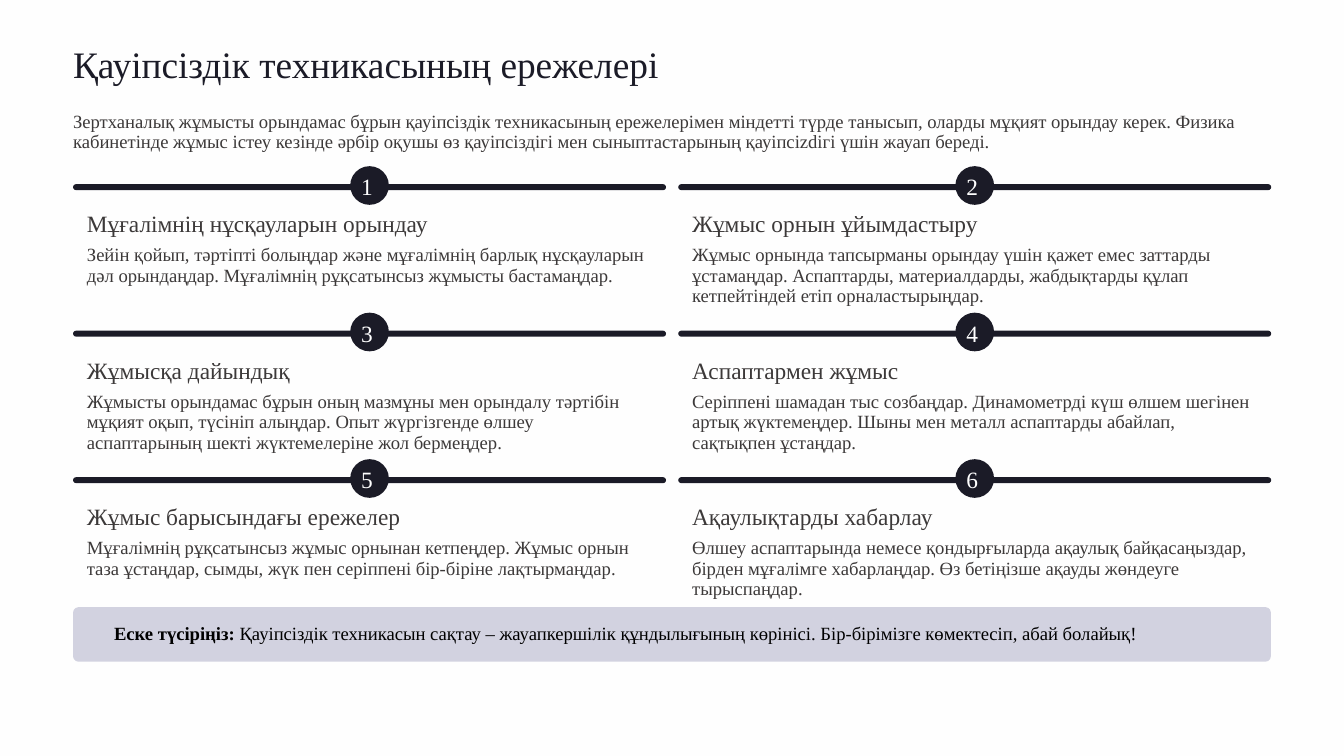
from dataclasses import dataclass

import pptx
import pptx.dml.color
import pptx.enum.shapes
import pptx.enum.text
import pptx.oxml.ns
import pptx.util
from lxml import etree

Cm, Pt = pptx.util.Cm, pptx.util.Pt
FONT = "Times New Roman"
DARK, GREY, WHITE = "1B1B27", "3C3939", "FFFFFF"
LEFT, WIDTH = 2.21, 36.22
COL_STEP, ROW_STEP, CARDS_TOP = 18.3, 4.43, 5.61
CARD_W, CARD_H, BADGE = 17.93, 3.45, 1.17


@dataclass
class Box:
    x: float
    y: float
    w: float
    h: float


@dataclass
class Run:
    text: str
    size: float = 16
    color: str = GREY
    bold: bool = False


@dataclass
class Rule:
    heading: str
    body: str


RULES = [
    Rule("Мұғалімнің нұсқауларын орындау",
         "Зейін қойып, тәртіпті болыңдар және мұғалімнің барлық нұсқауларын дәл "
         "орындаңдар. Мұғалімнің рұқсатынсыз жұмысты бастамаңдар."),
    Rule("Жұмыс орнын ұйымдастыру",
         "Жұмыс орнында тапсырманы орындау үшін қажет емес заттарды ұстамаңдар. "
         "Аспаптарды, материалдарды, жабдықтарды құлап кетпейтіндей етіп орналастырыңдар."),
    Rule("Жұмысқа дайындық",
         "Жұмысты орындамас бұрын оның мазмұны мен орындалу тәртібін мұқият оқып, түсініп "
         "алыңдар. Опыт жүргізгенде өлшеу аспаптарының шекті жүктемелеріне жол бермеңдер."),
    Rule("Аспаптармен жұмыс",
         "Серіппені шамадан тыс созбаңдар. Динамометрді күш өлшем шегінен артық жүктемеңдер. "
         "Шыны мен металл аспаптарды абайлап, сақтықпен ұстаңдар."),
    Rule("Жұмыс барысындағы ережелер",
         "Мұғалімнің рұқсатынсыз жұмыс орнынан кетпеңдер. Жұмыс орнын таза ұстаңдар, "
         "сымды, жүк пен серіппені бір-біріне лақтырмаңдар."),
    Rule("Ақаулықтарды хабарлау",
         "Өлшеу аспаптарында немесе қондырғыларда ақаулық байқасаңыздар, бірден мұғалімге "
         "хабарлаңдар. Өз бетіңізше ақауды жөндеуге тырыспаңдар."),
]


def rgb(color: str) -> pptx.dml.color.RGBColor:
    return pptx.dml.color.RGBColor.from_string(color)


def add_round(slide, box: Box, color: str, adj: float, alpha: int = 100) -> None:
    sp = slide.shapes.add_shape(pptx.enum.shapes.MSO_SHAPE.ROUNDED_RECTANGLE,
                                Cm(box.x), Cm(box.y), Cm(box.w), Cm(box.h))
    sp.adjustments[0] = adj
    sp.shadow.inherit = False
    sp.fill.solid()
    sp.fill.fore_color.rgb = rgb(color)
    sp.line.fill.background()
    if alpha < 100:
        qn = pptx.oxml.ns.qn
        clr = sp.fill._xPr.find(qn("a:solidFill")).find(qn("a:srgbClr"))
        etree.SubElement(clr, qn("a:alpha"), val=str(alpha * 1000))


def add_text(slide, box: Box, spacing: float, runs: list[Run], wrap: bool = True) -> None:
    tf = slide.shapes.add_textbox(Cm(box.x), Cm(box.y), Cm(box.w), Cm(box.h)).text_frame
    tf.word_wrap = wrap
    tf.auto_size = pptx.enum.text.MSO_AUTO_SIZE.NONE
    tf.margin_left = tf.margin_right = tf.margin_top = tf.margin_bottom = 0
    p = tf.paragraphs[0]
    p.line_spacing = Pt(spacing)
    for run in runs:
        r = p.add_run()
        r.text = run.text
        r.font.name = FONT
        r.font.size = Pt(run.size)
        r.font.bold = run.bold
        r.font.color.rgb = rgb(run.color)


def add_card(slide, number: int, rule: Rule, x: float, y: float) -> None:
    # Panel, top bar and round badge
    add_round(slide, Box(x, y, CARD_W, CARD_H), WHITE, 0.06, alpha=95)
    add_round(slide, Box(x, y - 0.04, CARD_W, 0.18), DARK, 0.5)
    add_round(slide, Box(x + (CARD_W - BADGE) / 2, y - BADGE / 2, BADGE, BADGE), DARK, 0.5)
    # Number, heading and body
    add_text(slide, Box(x + 8.71, y - 0.29, 0.46, 0.58), 21,
             [Run(str(number), 20, WHITE)], wrap=False)
    add_text(slide, Box(x + 0.42, y + 0.97, 17.07, 0.61), 17, [Run(rule.heading, 20)])
    add_text(slide, Box(x + 0.42, y + 1.8, 17.07, 1.24), 17.5, [Run(rule.body)])


def main() -> None:
    prs = pptx.Presentation()
    prs.slide_width, prs.slide_height = Cm(40.64), Cm(22.86)
    slide = prs.slides.add_slide(prs.slide_layouts[6])
    slide.background.fill.solid()
    slide.background.fill.fore_color.rgb = rgb("FEFEFE")

    # Title and introduction
    add_text(slide, Box(LEFT, 1.4, WIDTH, 1.19), 34,
             [Run("Қауіпсіздік техникасының ережелері", 32, DARK)])
    add_text(slide, Box(LEFT, 3.38, WIDTH, 1.24), 17.5, [Run(
        "Зертханалық жұмысты орындамас бұрын қауіпсіздік техникасының ережелерімен міндетті "
        "түрде танысып, оларды мұқият орындау керек. Физика кабинетінде жұмыс істеу кезінде "
        "әрбір оқушы өз қауіпсіздігі мен сыныптастарының қауіпсіzdігі үшін жауап береді.")])

    # Rules in two columns
    for i, rule in enumerate(RULES):
        row, col = divmod(i, 2)
        add_card(slide, i + 1, rule, LEFT + col * COL_STEP, CARDS_TOP + row * ROW_STEP)

    # Reminder
    add_round(slide, Box(LEFT, 18.36, WIDTH, 1.65), "D2D2E0", 0.1)
    add_text(slide, Box(3.45, 18.85, 34.59, 0.61), 17.5, [
        Run("Еске түсіріңіз:", color="000000", bold=True),
        Run(" Қауіпсіздік техникасын сақтау – жауапкершілік құндылығының көрінісі. "
            "Бір-бірімізге көмектесіп, абай болайық!", color="000000")])

    prs.save("out.pptx")


if __name__ == "__main__":
    main()
